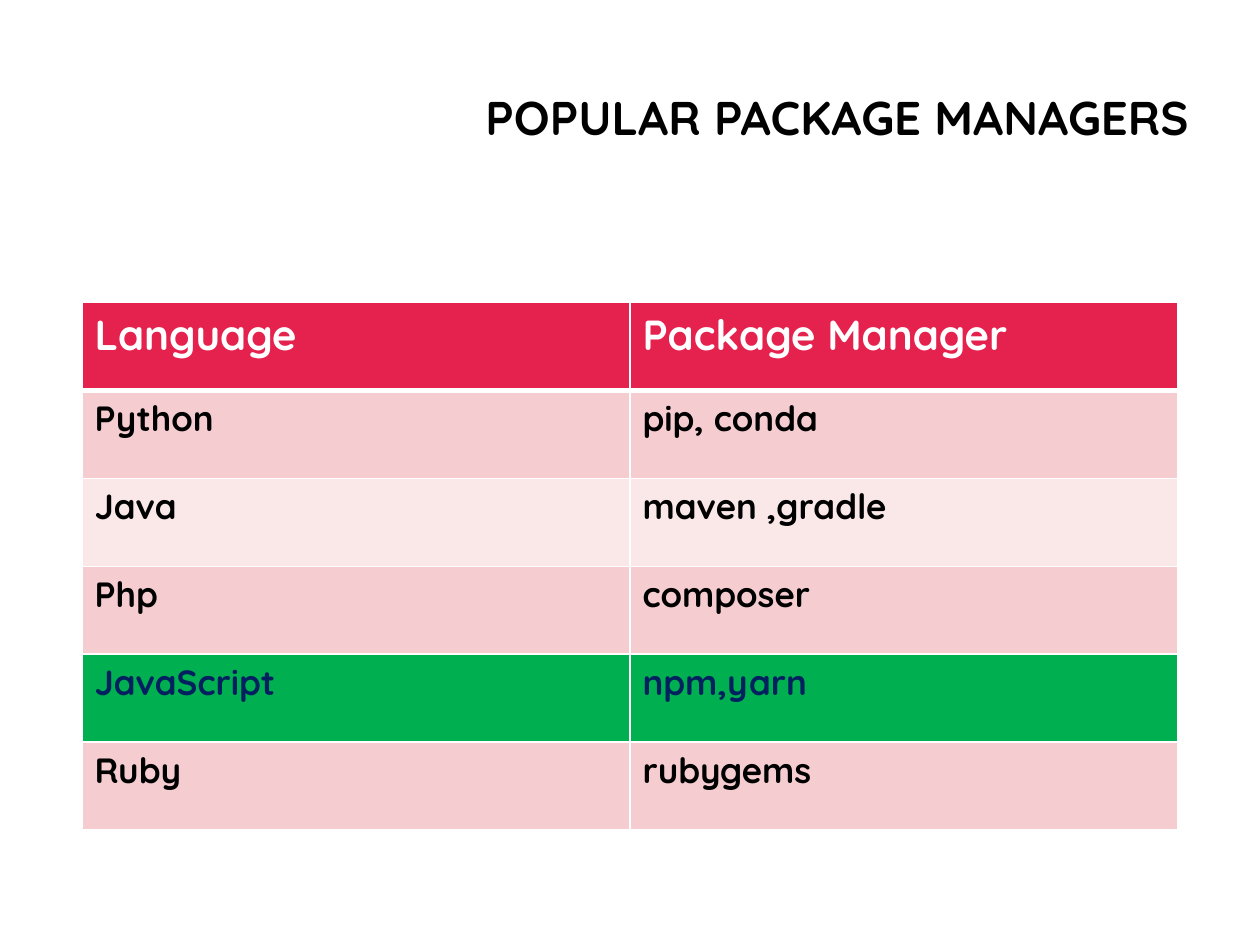
from lxml.etree import SubElement
from pptx import Presentation
from pptx.dml.color import RGBColor
from pptx.enum.text import MSO_ANCHOR, PP_ALIGN
from pptx.oxml.ns import qn
from pptx.util import Inches, Pt

FONT = "Quicksand"
WHITE, BLACK, NAVY = "FFFFFF", "000000", "002060"
RED, PINK, PALE_PINK, GREEN = "E5224E", "F5CDD0", "FAE8E9", "00B050"

HEADER = ("Language", "Package Manager")
MANAGERS = [
    ("Python", "pip, conda"),
    ("Java", "maven ,gradle"),
    ("Php", "composer"),
    ("JavaScript", "npm,yarn"),
    ("Ruby", "rubygems"),
]
HIGHLIGHTED = "JavaScript"


def rgb(hex_color):
    return RGBColor.from_string(hex_color)


def write(paragraph, text, size, color):
    paragraph.text = text
    font = paragraph.font
    font.name, font.size, font.bold = FONT, Pt(size), True
    font.color.rgb = rgb(color)


def add_title(slide, text):
    frame = slide.shapes.add_textbox(
        Inches(2.56), Inches(0.25), Inches(6.97), Inches(1.41)).text_frame
    frame.word_wrap = True
    frame.vertical_anchor = MSO_ANCHOR.MIDDLE
    heading = frame.paragraphs[0]
    heading.alignment = PP_ALIGN.RIGHT
    heading.line_spacing = 0.9
    write(heading, text, 27, BLACK)


def set_borders(cell, color, top=1, bottom=1):
    """Draw the four cell borders, with widths in points."""
    properties = cell._tc.get_or_add_tcPr()
    for side, width in (("L", 1), ("R", 1), ("T", top), ("B", bottom)):
        line = SubElement(properties, qn(f"a:ln{side}"), w=str(Pt(width)))
        fill = SubElement(line, qn("a:solidFill"))
        SubElement(fill, qn("a:srgbClr"), val=color)


def fill_row(row, texts, size, color, background, top=1, bottom=1):
    for cell, text in zip(row.cells, texts):
        write(cell.text_frame.paragraphs[0], text, size, color)
        set_borders(cell, WHITE, top, bottom)
        cell.fill.solid()
        cell.fill.fore_color.rgb = rgb(background)


def add_manager_table(slide):
    table = slide.shapes.add_table(
        len(MANAGERS) + 1, len(HEADER),
        Inches(0.65), Inches(2.4), Inches(8.7), Inches(4.19)).table
    header_row, *body_rows = table.rows
    fill_row(header_row, HEADER, 24, WHITE, RED, bottom=3)
    for index, (row, texts) in enumerate(zip(body_rows, MANAGERS)):
        color, background = BLACK, (PINK, PALE_PINK)[index % 2]
        if texts[0] == HIGHLIGHTED:
            color, background = NAVY, GREEN
        fill_row(row, texts, 20, color, background, top=3 if index == 0 else 1)


def main():
    deck = Presentation()
    deck.slide_width, deck.slide_height = Inches(10), Inches(7.5)
    slide = deck.slides.add_slide(deck.slide_layouts[6])
    add_title(slide, "POPULAR PACKAGE MANAGERS")
    add_manager_table(slide)
    deck.save("out.pptx")


if __name__ == "__main__":
    main()
